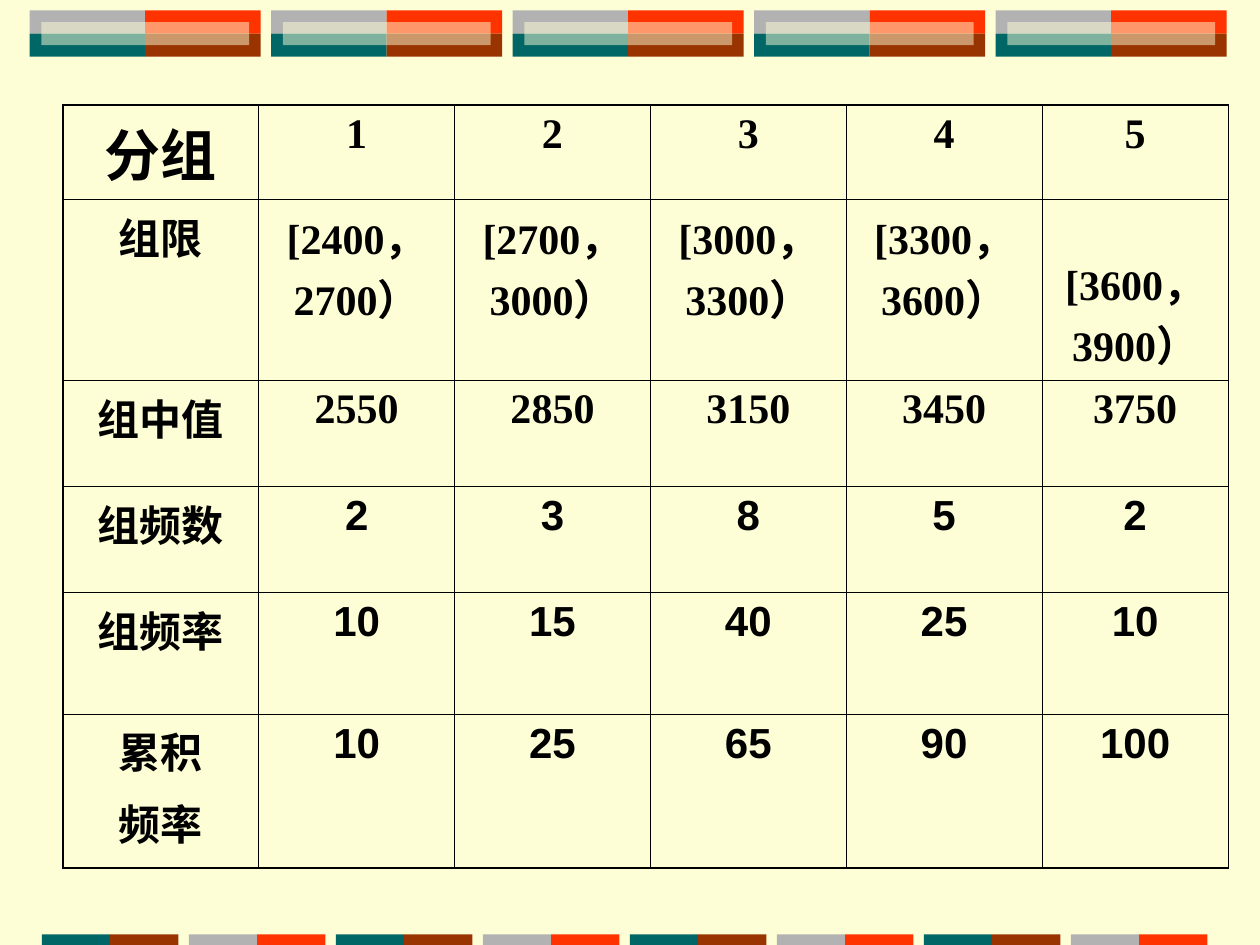
"""Build a frequency distribution table between two rows of coloured bars."""
from pptx import Presentation
from pptx.dml.color import RGBColor
from pptx.enum.shapes import MSO_SHAPE as Shape
from pptx.enum.text import PP_ALIGN as Align
from pptx.oxml.ns import qn
from pptx.util import Inches, Pt
from lxml.etree import SubElement

UNITS_PER_INCH = 12
CREAM = RGBColor(0xFE, 0xFE, 0xD6)
RED = RGBColor(0xFF, 0x33, 0x00)
BROWN = RGBColor(0x99, 0x33, 0x00)
TEAL = RGBColor(0x00, 0x66, 0x66)
GREY = RGBColor(0xB2, 0xB2, 0xB2)
BLACK = RGBColor(0x00, 0x00, 0x00)

COLUMN_UNITS = [18.65] * 5 + [17.75]
ROW_UNITS = [9, 14.9, 10.1, 10.1, 11.6, 14.7]
ROWS = [
    ["分组", "1", "2", "3", "4", "5"],
    ["组限", "[2400，2700）", "[2700，3000）", "[3000，3300）",
     "[3300，3600）", "[3600，3900）"],
    ["组中值", "2550", "2850", "3150", "3450", "3750"],
    ["组频数", "2", "3", "8", "5", "2"],
    ["组频率", "10", "15", "40", "25", "10"],
    ["累积\n频率", "10", "25", "65", "90", "100"],
]
SERIF_ROWS = 3
THIN, THICK = Pt(0.45), Pt(1.08)


def grid(units):
    """Convert grid units to a length."""
    return Inches(units / UNITS_PER_INCH)


def add_bar(slide, left, top, width, height, color, opacity=100):
    """Add a borderless rectangle measured in grid units."""
    shape = slide.shapes.add_shape(Shape.RECTANGLE, *map(grid, (left, top, width, height)))
    shape.shadow.inherit = False
    shape.line.fill.background()
    shape.fill.solid()
    shape.fill.fore_color.rgb = color
    if opacity < 100:
        rgb = next(shape._element.spPr.iter(qn("a:srgbClr")))
        SubElement(rgb, qn("a:alpha"), val=str(opacity * 1000))


def add_top_blocks(slide, count=5, pitch=23, width=11, height=2.2, inset=1.1):
    """Add four-coloured blocks, each with a translucent centre."""
    for index in range(count):
        left, top = 2.83 + index * pitch, 1
        for row, colors in enumerate([(GREY, RED), (TEAL, BROWN)]):
            for column, color in enumerate(colors):
                add_bar(slide, left + column * width, top + row * height, width, height, color)
        add_bar(slide, left + inset, top + inset, 2 * (width - inset), height, CREAM, 50)


def add_bottom_blocks(slide, count=8, pitch=14, width=6.5):
    """Add alternating two-coloured blocks along the bottom edge."""
    for index in range(count):
        colors = (GREY, RED) if index % 2 else (TEAL, BROWN)
        for column, color in enumerate(colors):
            add_bar(slide, 4 + index * pitch + column * width, 89, width, 1, color)


def set_borders(cell, row, column):
    """Draw thick lines on the table's outside and thin ones inside."""
    outer = {
        "a:lnL": column == 0,
        "a:lnR": column == len(COLUMN_UNITS) - 1,
        "a:lnT": row == 0,
        "a:lnB": row == len(ROW_UNITS) - 1,
    }
    properties = cell._tc.get_or_add_tcPr()
    for tag, is_outer in outer.items():
        line = SubElement(properties, qn(tag), w=str(THICK if is_outer else THIN))
        fill = SubElement(line, qn("a:solidFill"))
        SubElement(fill, qn("a:srgbClr"), val=str(BLACK))


def fill_cell(cell, text, font_name, size):
    """Write centred bold text into a cell without fill."""
    cell.fill.background()
    cell.text_frame.text = text
    for index, paragraph in enumerate(cell.text_frame.paragraphs):
        paragraph.alignment = Align.CENTER
        paragraph.space_before = Pt(6 if index else 0)
        font = paragraph.font
        font.name, font.size, font.bold = font_name, Pt(size), True
        font.color.rgb = BLACK


def add_frequency_table(slide):
    """Add the table of groups, limits, midpoints and frequencies."""
    frame = slide.shapes.add_table(
        len(ROW_UNITS), len(COLUMN_UNITS), grid(6), grid(10),
        grid(sum(COLUMN_UNITS)), grid(sum(ROW_UNITS)))
    table = frame.table
    table.first_row = table.horz_banding = False
    for column, units in zip(table.columns, COLUMN_UNITS):
        column.width = grid(units)
    for row, units in zip(table.rows, ROW_UNITS):
        row.height = grid(units)
    for row, texts in enumerate(ROWS):
        for column, text in enumerate(texts):
            cell = table.cell(row, column)
            set_borders(cell, row, column)
            is_serif = column > 0 and row < SERIF_ROWS
            fill_cell(cell, text, "Times New Roman" if is_serif else "Arial",
                      32 if row == column == 0 else 24)
    table.cell(1, 5).margin_top = grid(5)


def main():
    """Build and save the slide."""
    presentation = Presentation()
    presentation.slide_width, presentation.slide_height = grid(120), grid(90)
    slide = presentation.slides.add_slide(presentation.slide_layouts[6])
    slide.background.fill.solid()
    slide.background.fill.fore_color.rgb = CREAM
    add_top_blocks(slide)
    add_bottom_blocks(slide)
    add_frequency_table(slide)
    presentation.save("out.pptx")


if __name__ == "__main__":
    main()
